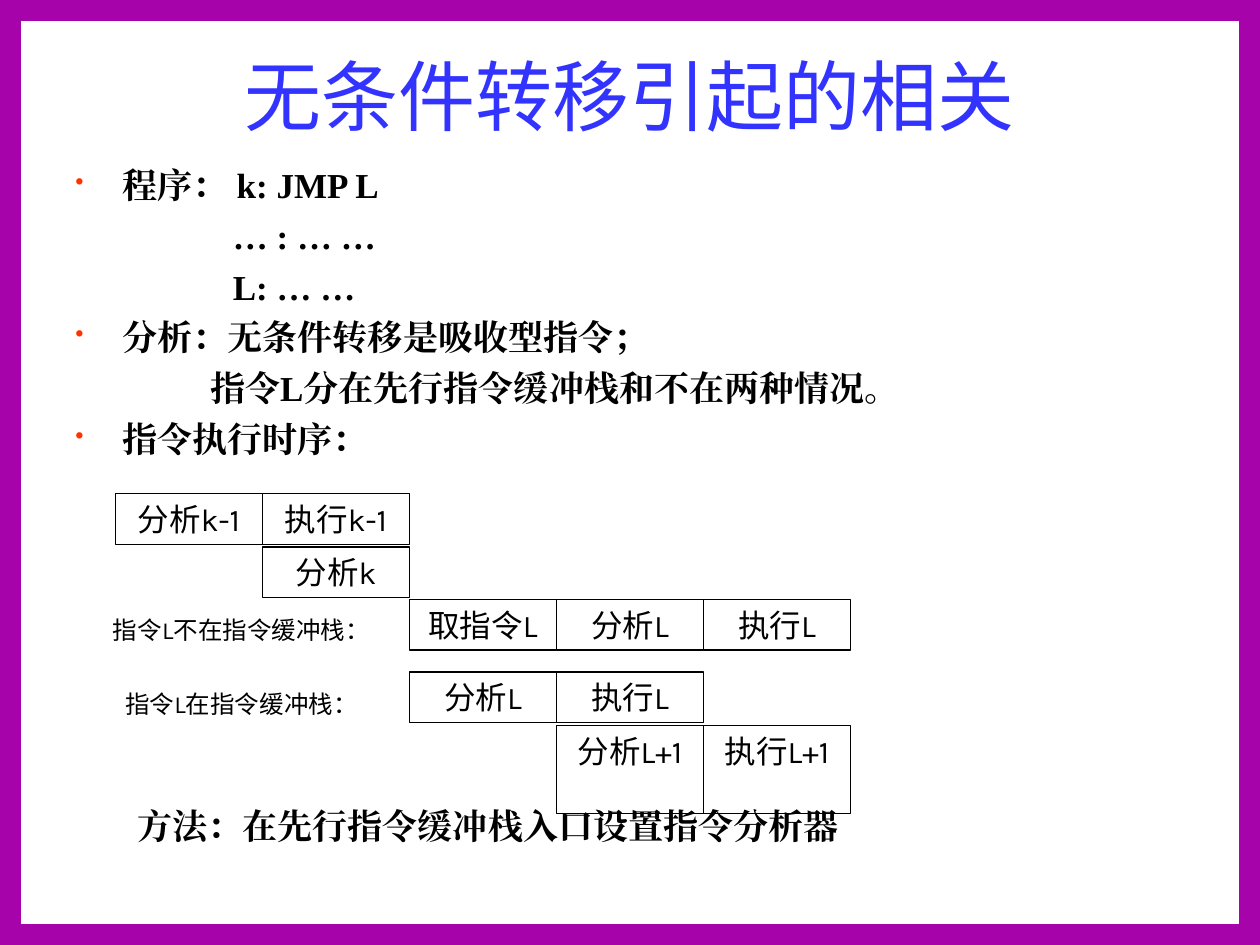
"""Build the slide on dependences caused by unconditional jumps."""
from typing import NamedTuple

from lxml import etree
from pptx import Presentation
from pptx.dml.color import RGBColor
from pptx.enum.shapes import MSO_SHAPE
from pptx.enum.text import MSO_ANCHOR, MSO_AUTO_SIZE, PP_ALIGN
from pptx.oxml.ns import qn
from pptx.util import Pt

RECTANGLE = MSO_SHAPE.RECTANGLE
TOP, BOTTOM = MSO_ANCHOR.TOP, MSO_ANCHOR.BOTTOM
LEFT, CENTER = PP_ALIGN.LEFT, PP_ALIGN.CENTER
NO_RESIZE = MSO_AUTO_SIZE.NONE

PURPLE = RGBColor(0xA6, 0x03, 0xAB)
BLUE = RGBColor(0x33, 0x33, 0xFF)
BLACK = RGBColor(0, 0, 0)
BULLET_RED = "FF3300"
SANS, SERIF = "Karla", "Times New Roman"

PAGE_WIDTH, PAGE_HEIGHT, BORDER = 720, 540, 12
STAGE_LEFT, STAGE_WIDTH, STAGE_HEIGHT = 66, 84, 29
HANGING, LINE_RATIO = 27, 1.2


class Area(NamedTuple):
    left: float
    top: float
    width: float
    height: float

    def lengths(self) -> list:
        return [Pt(value) for value in self]


class BodyLine(NamedTuple):
    text: str
    indent: float = HANGING
    bullet: bool = False


class StageRow(NamedTuple):
    top: float
    first_column: int
    stages: tuple
    height: float = STAGE_HEIGHT


class Label(NamedTuple):
    text: str
    area: Area
    size: float = 14
    font: str = SANS
    bold: bool = False


BODY_LINES = (
    BodyLine("程序： k: JMP L", bullet=True),
    BodyLine("… : … …", indent=90),
    BodyLine("L: … …", indent=90),
    BodyLine("分析：无条件转移是吸收型指令；", bullet=True),
    BodyLine("指令L分在先行指令缓冲栈和不在两种情况。", indent=77),
    BodyLine("指令执行时序：", bullet=True),
)
STAGE_ROWS = (
    StageRow(282, 0, ("分析k-1", "执行k-1")),
    StageRow(312.5, 1, ("分析k",)),
    StageRow(342.5, 2, ("取指令L", "分析L", "执行L")),
    StageRow(384, 2, ("分析L", "执行L")),
    StageRow(414.5, 3, ("分析L+1", "执行L+1"), 50.5),
)
LABELS = (
    Label("指令L不在指令缓冲栈：", Area(54, 348, 168, 24.5)),
    Label("指令L在指令缓冲栈：", Area(54, 390, 168, 24.5)),
    Label("方法：在先行指令缓冲栈入口设置指令分析器",
          Area(48, 456, 462, 32), 20, SERIF, True),
)


def write_text(para, text: str, *, size: float, font: str = SANS,
               color: RGBColor = BLACK, bold: bool = False, align=CENTER) -> None:
    """Write one formatted span into a paragraph."""
    para.alignment = align
    para.line_spacing = Pt(round(size * LINE_RATIO, 1))
    span = para.add_run()
    span.text = text
    span.font.name, span.font.size = font, Pt(size)
    span.font.bold, span.font.color.rgb = bold, color
    east_asian = etree.SubElement(span.font._element, qn("a:ea"))
    east_asian.set("typeface", font)


def prepare_frame(shape, anchor=TOP):
    """Make the text of a shape wrap inside a fixed frame."""
    frame = shape.text_frame
    frame.word_wrap, frame.auto_size = True, NO_RESIZE
    frame.vertical_anchor = anchor
    return frame


def add_box(page, area: Area):
    """Add a plain rectangle without shadow."""
    box = page.shapes.add_shape(RECTANGLE, *area.lengths())
    box.shadow.inherit = False
    return box


def add_border(page) -> None:
    """Draw the purple frame around the page."""
    for area in (
        Area(0, 0, PAGE_WIDTH, BORDER),
        Area(0, PAGE_HEIGHT - BORDER, PAGE_WIDTH, BORDER),
        Area(0, 0, BORDER, PAGE_HEIGHT),
        Area(PAGE_WIDTH - BORDER, 0, BORDER, PAGE_HEIGHT),
    ):
        bar = add_box(page, area)
        bar.fill.solid()
        bar.fill.fore_color.rgb = PURPLE
        bar.line.fill.background()


def add_title(page, text: str) -> None:
    """Place and format the title."""
    title = page.shapes.title
    title.left, title.top, title.width, title.height = Area(36, 24, 648, 60).lengths()
    frame = prepare_frame(title, BOTTOM)
    write_text(frame.paragraphs[0], text, size=44, color=BLUE)


def set_indent(para, line: BodyLine) -> None:
    """Set the indent and the red bullet of a body line."""
    properties = para._p.get_or_add_pPr()
    properties.set("marL", str(Pt(line.indent)))
    properties.set("indent", str(Pt(-HANGING if line.bullet else 0)))
    if line.bullet:
        color = etree.SubElement(properties, qn("a:buClr"))
        etree.SubElement(color, qn("a:srgbClr")).set("val", BULLET_RED)
        etree.SubElement(properties, qn("a:buSzPct")).set("val", "70000")
        etree.SubElement(properties, qn("a:buChar")).set("char", "•")
    else:
        etree.SubElement(properties, qn("a:buNone"))


def add_body(page) -> None:
    """Write the program, its analysis and the timing heading."""
    frame = prepare_frame(page.shapes.add_textbox(*Area(36, 90, 648, 180).lengths()))
    for index, line in enumerate(BODY_LINES):
        para = frame.add_paragraph() if index else frame.paragraphs[0]
        set_indent(para, line)
        if index:
            para.space_before = Pt(5)
        write_text(para, line.text, size=20, font=SERIF, bold=True, align=LEFT)


def add_stage_row(page, row: StageRow) -> None:
    """Draw the adjoining pipeline stages of one row."""
    for column, stage in enumerate(row.stages, row.first_column):
        left = STAGE_LEFT + column * STAGE_WIDTH
        box = add_box(page, Area(left, row.top, STAGE_WIDTH, row.height))
        box.fill.background()
        box.line.color.rgb, box.line.width = BLACK, Pt(0.75)
        write_text(prepare_frame(box).paragraphs[0], stage, size=18)


def add_label(page, label: Label) -> None:
    """Add a centred text label."""
    frame = prepare_frame(page.shapes.add_textbox(*label.area.lengths()))
    write_text(frame.paragraphs[0], label.text, size=label.size,
               font=label.font, bold=label.bold)


def main() -> None:
    """Build and save the deck."""
    deck = Presentation()
    deck.slide_width, deck.slide_height = Pt(PAGE_WIDTH), Pt(PAGE_HEIGHT)
    page = deck.slides.add_slide(deck.slide_layouts.get_by_name("Title Only"))
    add_border(page)
    add_title(page, "无条件转移引起的相关")
    add_body(page)
    for row in STAGE_ROWS:
        add_stage_row(page, row)
    for label in LABELS:
        add_label(page, label)
    deck.save("out.pptx")


if __name__ == "__main__":
    main()
